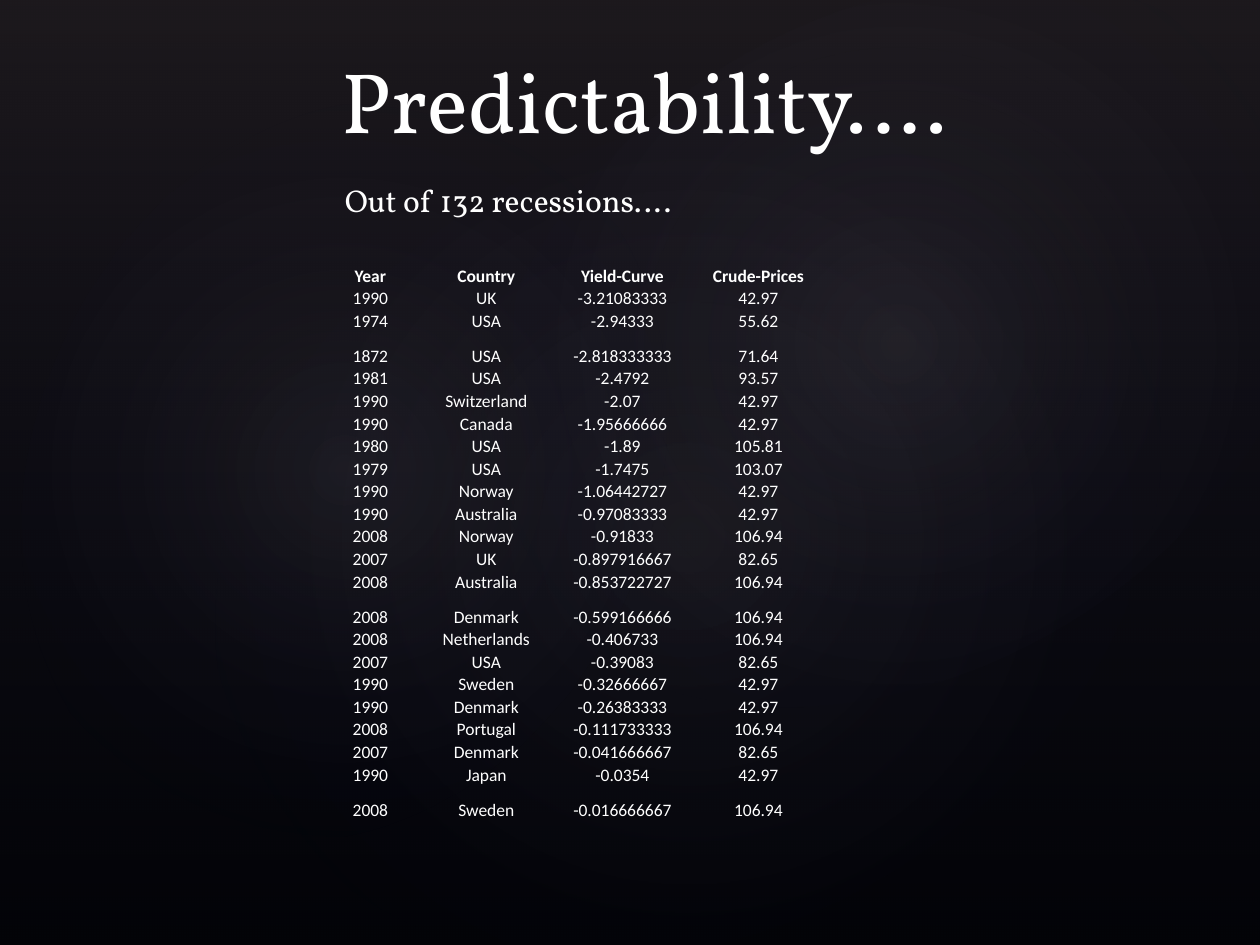
from lxml import etree
from pptx import Presentation
from pptx.dml.color import RGBColor
from pptx.enum.shapes import MSO_SHAPE as Shape
from pptx.enum.text import MSO_ANCHOR as Anchor, MSO_AUTO_SIZE as AutoSize, PP_ALIGN as Align
from pptx.oxml.ns import qn
from pptx.util import Pt

COLORS = {
    "black": "000000",
    "white": "FFFFFF",
    "plum": "504652",
    "navy": "242852",
    "mist": "C4BCC6",
}
SERIF, SANS = "Vollkorn", "Calibri"
PLAIN_TABLE = "{2D5ABB26-0587-4C30-8999-92F81FD0307C}"

# Left, top, width, height, rotation, centre opacity in percent
GLOWS = [
    (108, 82, 570, 449, 328.7, 7),
    (-21.5, 92, 436, 353, 294.3, 8),
    (258, 9.5, 510, 374, 328.7, 8),
]

COLUMN_WIDTHS = [66.25, 66.25, 89.25, 66.25]
TALL_ROWS = {0, 3, 14, 22}
RECESSIONS = [
    ("Year", "Country", "Yield-Curve", "Crude-Prices"),
    ("1990", "UK", "-3.21083333", "42.97"),
    ("1974", "USA", "-2.94333", "55.62"),
    ("1872", "USA", "-2.818333333", "71.64"),
    ("1981", "USA", "-2.4792", "93.57"),
    ("1990", "Switzerland", "-2.07", "42.97"),
    ("1990", "Canada", "-1.95666666", "42.97"),
    ("1980", "USA", "-1.89", "105.81"),
    ("1979", "USA", "-1.7475", "103.07"),
    ("1990", "Norway", "-1.06442727", "42.97"),
    ("1990", "Australia", "-0.97083333", "42.97"),
    ("2008", "Norway", "-0.91833", "106.94"),
    ("2007", "UK", "-0.897916667", "82.65"),
    ("2008", "Australia", "-0.853722727", "106.94"),
    ("2008", "Denmark", "-0.599166666", "106.94"),
    ("2008", "Netherlands", "-0.406733", "106.94"),
    ("2007", "USA", "-0.39083", "82.65"),
    ("1990", "Sweden", "-0.32666667", "42.97"),
    ("1990", "Denmark", "-0.26383333", "42.97"),
    ("2008", "Portugal", "-0.111733333", "106.94"),
    ("2007", "Denmark", "-0.041666667", "82.65"),
    ("1990", "Japan", "-0.0354", "42.97"),
    ("2008", "Sweden", "-0.016666667", "106.94"),
]


def rgb(name):
    return RGBColor.from_string(COLORS[name])


def format_text(frame, font, size, align, bold=False):
    for para in frame.paragraphs:
        para.alignment = align
        for span in para.runs:
            span.font.name = font
            span.font.size = Pt(size)
            span.font.bold = bold
            span.font.color.rgb = rgb("white")


def fade(shape, stops, radial=False):
    """Fill with a gradient of (position, colour, opacity) stops, in percent."""
    shape.fill.gradient()
    gradient = shape.element.spPr.find(qn("a:gradFill"))
    for child in list(gradient):
        gradient.remove(child)
    stop_list = etree.SubElement(gradient, qn("a:gsLst"))
    for position, color, opacity in stops:
        stop = etree.SubElement(stop_list, qn("a:gs"), pos=str(position * 1000))
        tint = etree.SubElement(stop, qn("a:srgbClr"), val=COLORS[color])
        etree.SubElement(tint, qn("a:alpha"), val=str(opacity * 1000))
    if radial:
        circle = etree.SubElement(gradient, qn("a:path"), path="circle")
        etree.SubElement(circle, qn("a:fillToRect"), l="50000", t="50000", r="50000", b="50000")
    else:
        etree.SubElement(gradient, qn("a:lin"), ang="5400000", scaled="0")


def add_backdrop_shape(page, kind, left, top, width, height):
    shape = page.shapes.add_shape(kind, Pt(left), Pt(top), Pt(width), Pt(height))
    shape.shadow.inherit = False
    shape.line.fill.background()
    page.shapes.title.element.addprevious(shape.element)  # keep it behind the title
    return shape


def add_backdrop(page):
    page.background.fill.solid()
    page.background.fill.fore_color.rgb = rgb("black")
    veil = add_backdrop_shape(page, Shape.RECTANGLE, 0, 0, 720, 540)
    fade(veil, [(0, "plum", 36), (100, "navy", 10)])
    for left, top, width, height, rotation, opacity in GLOWS:
        glow = add_backdrop_shape(page, Shape.OVAL, left, top, width, height)
        glow.rotation = rotation
        fade(glow, [(0, "mist", opacity), (58, "navy", 0)], radial=True)


def set_title(page, text):
    title = page.shapes.title
    title.left, title.top, title.width, title.height = Pt(71.25), Pt(18), Pt(594), Pt(72)
    frame = title.text_frame
    frame.text = text
    frame.auto_size = AutoSize.NONE
    frame.vertical_anchor = Anchor.BOTTOM
    format_text(frame, SERIF, 49, Align.CENTER)


def add_table(page, rows):
    heights = [20 if index in TALL_ROWS else 10 for index in range(len(rows))]
    holder = page.shapes.add_table(len(rows), len(COLUMN_WIDTHS), Pt(178.5), Pt(144),
                                   Pt(sum(COLUMN_WIDTHS)), Pt(sum(heights)))
    holder.element.find(".//" + qn("a:tableStyleId")).text = PLAIN_TABLE
    table = holder.table
    table.horz_banding = False
    for column, width in zip(table.columns, COLUMN_WIDTHS):
        column.width = Pt(width)
    for index, (row, values) in enumerate(zip(table.rows, rows)):
        row.height = Pt(heights[index])
        for cell, value in zip(row.cells, values):
            cell.fill.background()
            cell.margin_left = cell.margin_right = cell.margin_top = Pt(0.75)
            cell.margin_bottom = 0
            cell.vertical_anchor = Anchor.BOTTOM
            cell.text_frame.text = value
            format_text(cell.text_frame, SANS, 10, Align.CENTER, bold=index == 0)


def add_subtitle(page, text):
    box = page.shapes.add_textbox(Pt(190), Pt(100), Pt(475), Pt(29))
    frame = box.text_frame
    frame.word_wrap = True
    frame.auto_size = AutoSize.SHAPE_TO_FIT_TEXT
    frame.text = text
    format_text(frame, SERIF, 18, Align.LEFT)


def main():
    deck = Presentation()
    deck.slide_width, deck.slide_height = Pt(720), Pt(540)
    page = deck.slides.add_slide(deck.slide_layouts[5])
    add_backdrop(page)
    set_title(page, "Predictability….")
    add_table(page, RECESSIONS)
    add_subtitle(page, "Out of 132 recessions….")
    deck.save("out.pptx")


if __name__ == "__main__":
    main()
